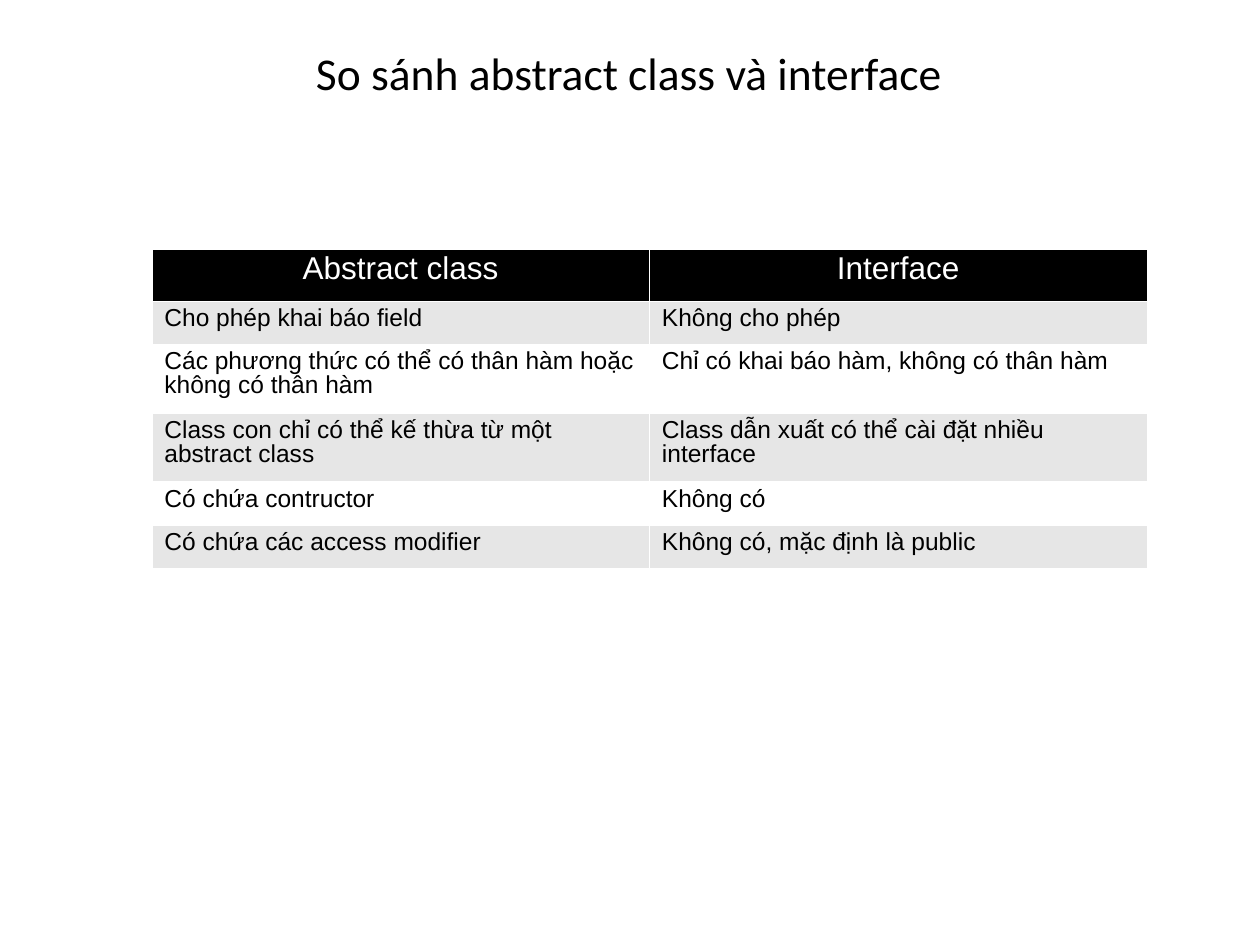
"""Build a slide that compares abstract classes with interfaces in a table."""
from lxml.etree import SubElement
from pptx import Presentation
from pptx.dml.color import RGBColor
from pptx.enum.text import MSO_ANCHOR, PP_ALIGN
from pptx.oxml.ns import qn
from pptx.util import Cm, Pt

COLORS = {"black": "000000", "white": "FFFFFF", "band": "E6E6E6"}
ROWS = [
    ("Abstract class", "Interface"),
    ("Cho phép khai báo field", "Không cho phép"),
    ("Các phương thức có thể có thân hàm hoặc không có thân hàm",
     "Chỉ có khai báo hàm, không có thân hàm"),
    ("Class con chỉ có thể kế thừa từ một abstract class",
     "Class dẫn xuất có thể cài đặt nhiều interface"),
    ("Có chứa contructor", "Không có"),
    ("Có chứa các access modifier", "Không có, mặc định là public"),
]
ROW_HEIGHTS = [1.04, 0.87, 1.39, 1.39, 0.87, 0.87]


def write(frame, text, font="Arial", size=14, color="black",
          align=PP_ALIGN.LEFT, spacing=0.87):
    para = frame.paragraphs[0]
    para.alignment = align
    para.line_spacing = spacing
    span = para.add_run()
    span.text = text
    span.font.name = font
    span.font.size = Pt(size)
    span.font.color.rgb = RGBColor.from_string(COLORS[color])


def add_borders(cell):
    properties = cell._tc.get_or_add_tcPr()
    for side in ("lnL", "lnR", "lnT", "lnB"):
        line = SubElement(properties, qn(f"a:{side}"), w=str(Pt(0.06)))
        fill = SubElement(line, qn("a:solidFill"))
        SubElement(fill, qn("a:srgbClr"), val=COLORS["white"])


deck = Presentation()
deck.slide_width, deck.slide_height = Cm(25.4), Cm(19.05)
page = deck.slides.add_slide(deck.slide_layouts[5])

title = page.shapes.title
title.left, title.top, title.width, title.height = Cm(1.27), Cm(0.76), Cm(22.83), Cm(3.15)
title.text_frame.vertical_anchor = MSO_ANCHOR.TOP
write(title.text_frame, "So sánh abstract class và interface", font="Calibri",
      size=26, align=PP_ALIGN.CENTER, spacing=1.02)

table = page.shapes.add_table(len(ROWS), 2, Cm(3.06), Cm(5.02), Cm(20.06),
                              Cm(sum(ROW_HEIGHTS))).table
for column in table.columns:
    column.width = Cm(10.03)

for row, (texts, height) in enumerate(zip(ROWS, ROW_HEIGHTS)):
    table.rows[row].height = Cm(height)
    if row == 0:
        fill = "black"
        style = {"size": 18, "color": "white", "align": PP_ALIGN.CENTER}
    else:
        fill = "band" if row % 2 else "white"
        style = {}
    for column, text in enumerate(texts):
        cell = table.cell(row, column)
        add_borders(cell)
        cell.fill.solid()
        cell.fill.fore_color.rgb = RGBColor.from_string(COLORS[fill])
        write(cell.text_frame, text, **style)
        cell.text_frame.paragraphs[0].runs[0].font.bold = False

deck.save("out.pptx")
